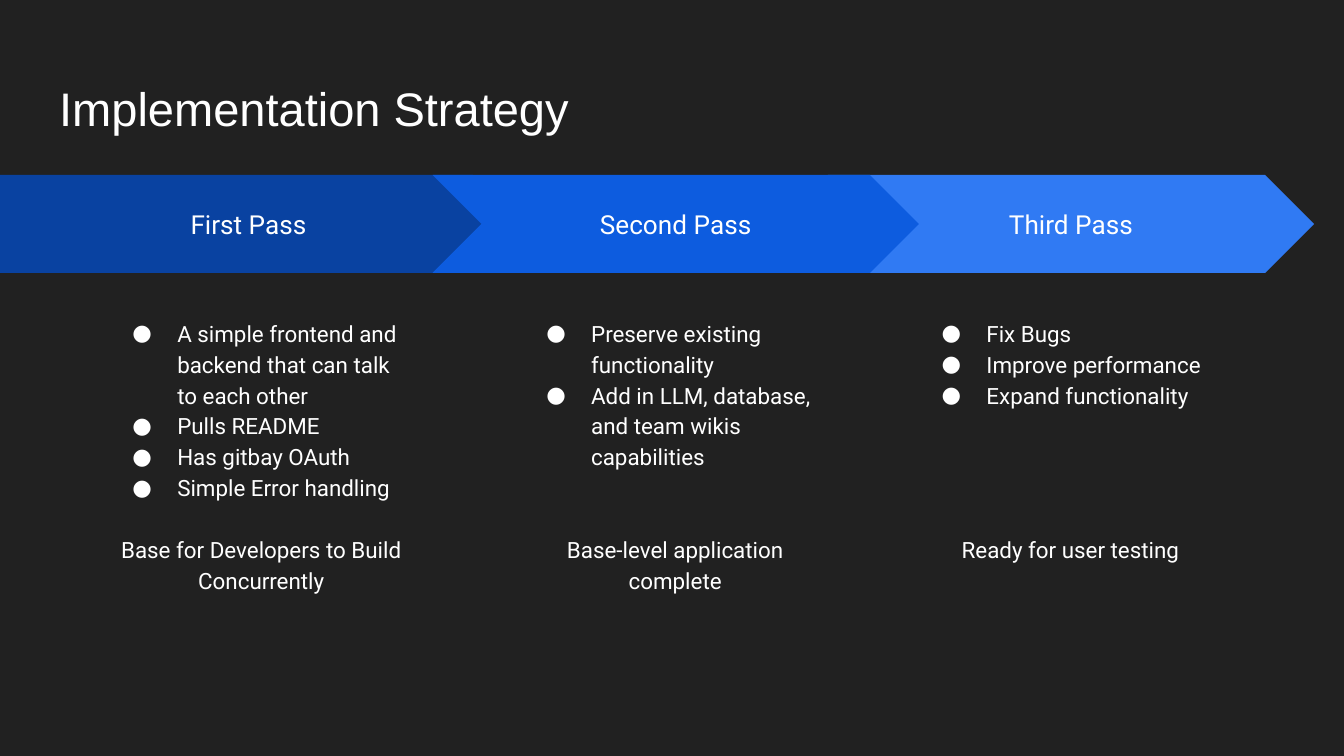
from lxml import etree
from pptx import Presentation
from pptx.dml.color import RGBColor
from pptx.enum.shapes import MSO_SHAPE
from pptx.enum.text import MSO_ANCHOR, MSO_AUTO_SIZE, PP_ALIGN
from pptx.oxml.ns import qn
from pptx.util import Pt

HOME_PLATE, CHEVRON = MSO_SHAPE.PENTAGON, MSO_SHAPE.CHEVRON
TOP, MIDDLE = MSO_ANCHOR.TOP, MSO_ANCHOR.MIDDLE
LEFT, CENTER = PP_ALIGN.LEFT, PP_ALIGN.CENTER
NO_AUTOFIT = MSO_AUTO_SIZE.NONE
COMPARISON_LAYOUT = 4

BACKGROUND = RGBColor(0x21, 0x21, 0x21)
WHITE = RGBColor(0xFF, 0xFF, 0xFF)
DARK_BLUE = RGBColor(0x09, 0x42, 0xA1)
BLUE = RGBColor(0x0D, 0x5C, 0xDF)
LIGHT_BLUE = RGBColor(0x30, 0x7A, 0xF3)

BAND_TOP, BAND_HEIGHT = 93.75, 52.5
LIST_TOP, LIST_WIDTH, LIST_HEIGHT = 162, 176.5, 206
LINE_PITCH = 16.5
INDENT, HANGING = 36, 24

# Back to front: each arrow overlaps the ones listed before it.
PASSES = [
    dict(name="Third Pass", outline=CHEVRON, color=LIGHT_BLUE,
         arrow=(443.5, 260.5), list_left=485.25, gap_lines=4,
         tasks=["Fix Bugs", "Improve performance", "Expand functionality"],
         outcome="Ready for user testing"),
    dict(name="First Pass", outline=HOME_PLATE, color=DARK_BLUE,
         arrow=(0, 279.5), list_left=51.75, gap_lines=1,
         tasks=["A simple frontend and backend that can talk to each other",
                "Pulls README", "Has gitbay OAuth", "Simple Error handling"],
         outcome="Base for Developers to Build Concurrently"),
    dict(name="Second Pass", outline=CHEVRON, color=BLUE,
         arrow=(231.75, 260.5), list_left=273.5, gap_lines=2,
         tasks=["Preserve existing functionality",
                "Add in LLM, database, and team wikis capabilities"],
         outcome="Base-level application complete"),
]


def apply(target, values):
    for attribute, value in values.items():
        setattr(target, attribute, value)


class StrategySlide:
    frame_format = dict(word_wrap=True, auto_size=NO_AUTOFIT,
                        margin_left=Pt(7.2), margin_right=Pt(7.2),
                        margin_top=Pt(7.2), margin_bottom=Pt(7.2))
    title_font = dict(name="Arial", size=Pt(25.2), bold=False)
    label_font = dict(name="Roboto", size=Pt(14), bold=False)
    list_font = dict(name="Roboto", size=Pt(12), bold=False)

    def __init__(self, slide):
        self.slide = slide
        slide.background.fill.solid()
        slide.background.fill.fore_color.rgb = BACKGROUND

    def place(self, shape, left, top, width, height):
        apply(shape, dict(left=Pt(left), top=Pt(top),
                          width=Pt(width), height=Pt(height)))

    def frame(self, shape, anchor):
        apply(shape.text_frame, self.frame_format)
        shape.text_frame.vertical_anchor = anchor
        return shape.text_frame

    def add_text(self, paragraph, text, font, align, spacing=1.0, before=0):
        apply(paragraph, dict(alignment=align, line_spacing=spacing,
                              space_before=Pt(before), space_after=Pt(0)))
        run = paragraph.add_run()
        run.text = text
        apply(run.font, font)
        run.font.color.rgb = WHITE

    def bullet(self, paragraph, mark):
        """Set a hanging bullet, or no bullet and no indent if mark is None."""
        properties = paragraph._p.get_or_add_pPr()
        properties.set("marL", str(Pt(INDENT if mark else 0)))
        properties.set("indent", str(Pt(-HANGING if mark else 0)))
        if mark is None:
            etree.SubElement(properties, qn("a:buNone"))
            return
        color = etree.SubElement(properties, qn("a:buClr"))
        etree.SubElement(color, qn("a:srgbClr"), val=str(WHITE))
        etree.SubElement(properties, qn("a:buFont"), typeface="Roboto")
        etree.SubElement(properties, qn("a:buChar"), char=mark)

    def title(self, text):
        title = self.slide.shapes.title
        self.place(title, 24.5, 35.25, 671, 45)
        paragraph = self.frame(title, MIDDLE).paragraphs[0]
        self.add_text(paragraph, text, self.title_font, LEFT)

    def arrow(self, outline, left, width, color, label):
        arrow = self.slide.shapes.add_shape(
            outline, Pt(left), Pt(BAND_TOP), Pt(width), Pt(BAND_HEIGHT))
        arrow.adjustments[0] = 0.5
        arrow.shadow.inherit = False
        arrow.fill.solid()
        arrow.fill.fore_color.rgb = color
        arrow.line.fill.background()
        paragraph = self.frame(arrow, MIDDLE).paragraphs[0]
        self.add_text(paragraph, label, self.label_font, CENTER)

    def task_list(self, body, left, tasks, outcome, gap_lines):
        self.place(body, left, LIST_TOP, LIST_WIDTH, LIST_HEIGHT)
        frame = self.frame(body, TOP)
        for index, task in enumerate(tasks):
            paragraph = frame.add_paragraph() if index else frame.paragraphs[0]
            self.bullet(paragraph, "●")
            self.add_text(paragraph, task, self.list_font, LEFT, 1.15)
        closing = frame.add_paragraph()
        self.bullet(closing, None)
        self.add_text(closing, outcome, self.list_font, CENTER, 1.15,
                      gap_lines * LINE_PITCH)


def main():
    deck = Presentation()
    deck.slide_width, deck.slide_height = Pt(720), Pt(405)
    slide = deck.slides.add_slide(deck.slide_layouts[COMPARISON_LAYOUT])
    strategy = StrategySlide(slide)
    strategy.title("Implementation Strategy")

    _, *bodies, spare = slide.placeholders
    spare.element.getparent().remove(spare.element)
    for stage, body in zip(PASSES, bodies):
        strategy.arrow(stage["outline"], *stage["arrow"],
                       stage["color"], stage["name"])
        strategy.task_list(body, stage["list_left"], stage["tasks"],
                           stage["outcome"], stage["gap_lines"])
    deck.save("out.pptx")


if __name__ == "__main__":
    main()
